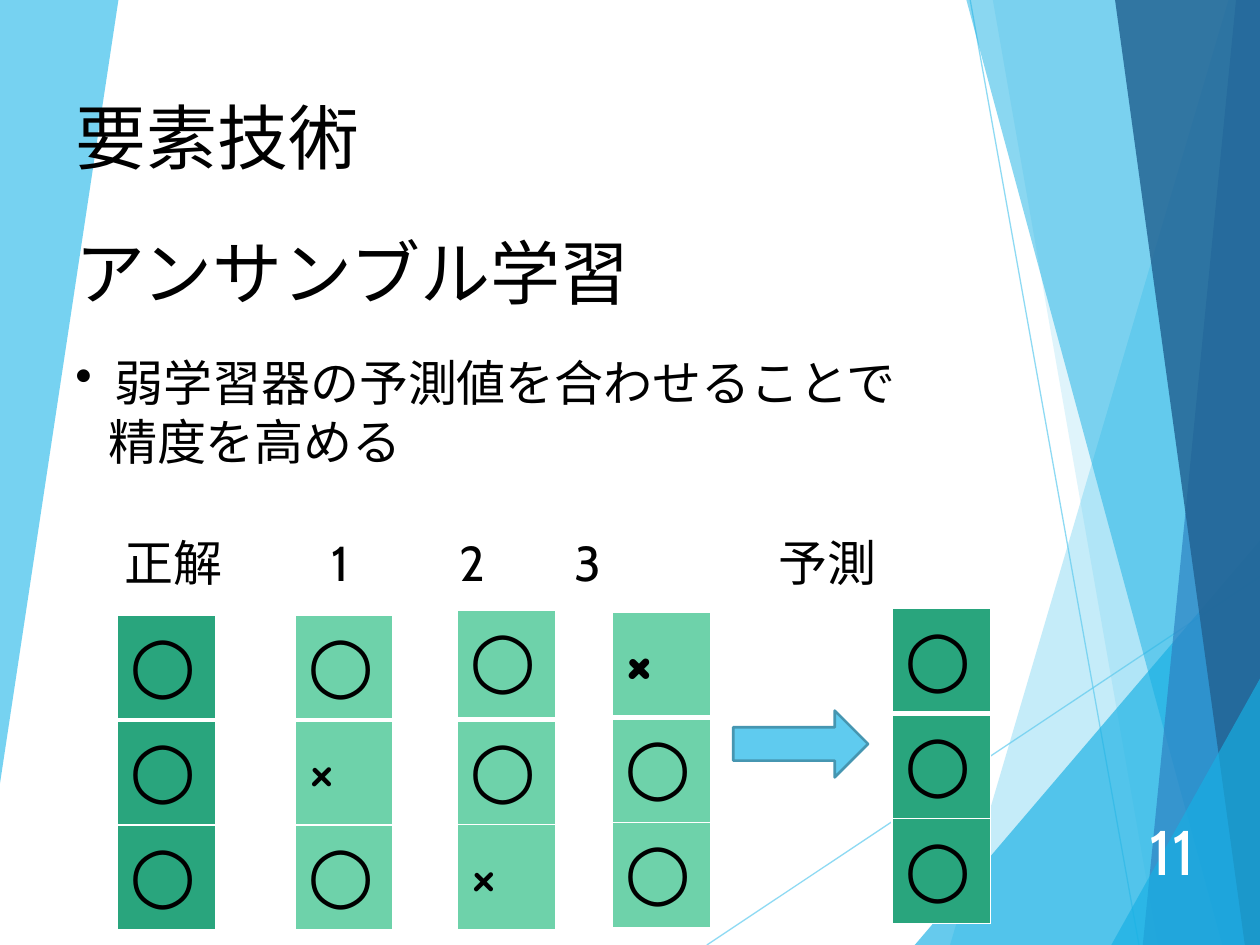
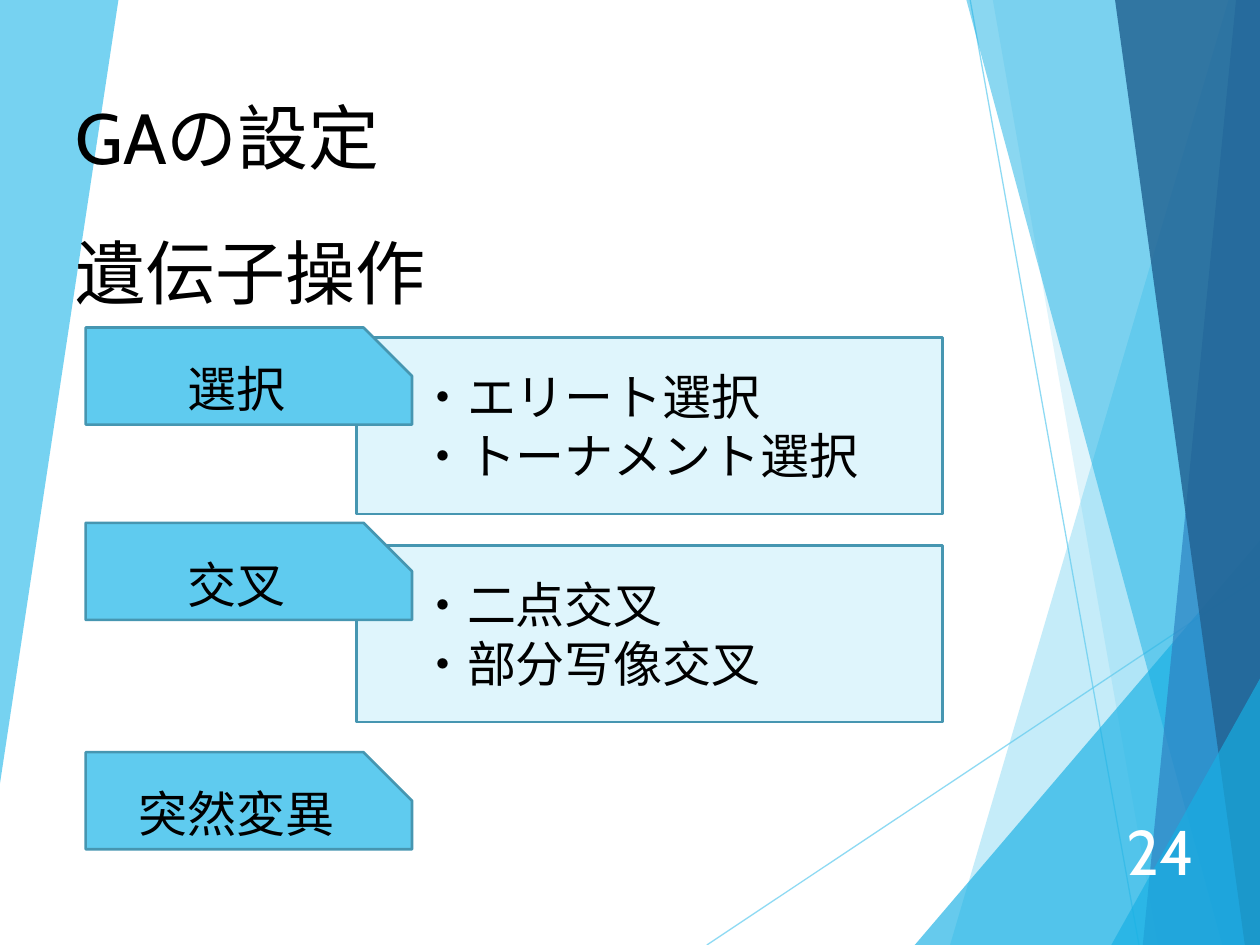
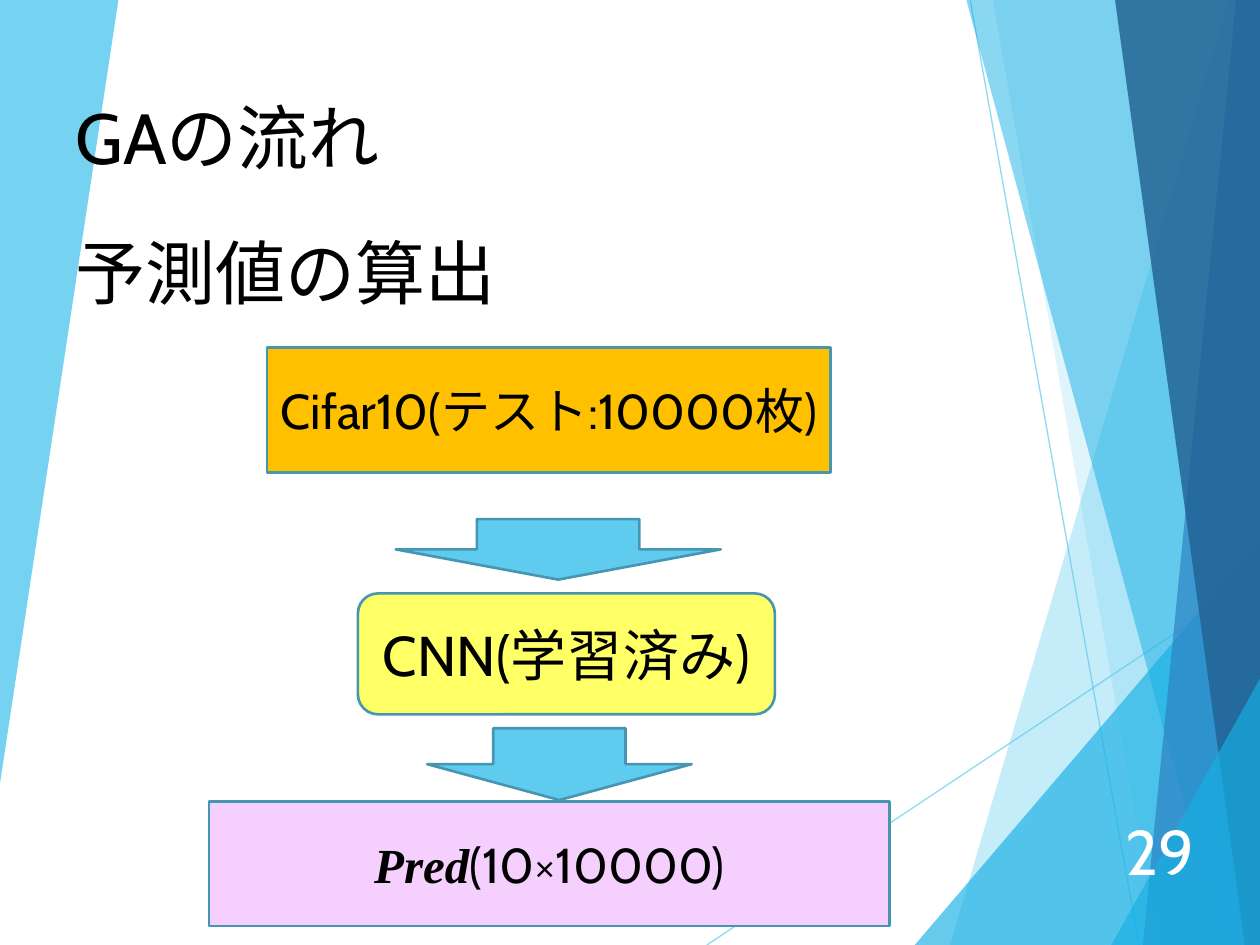
"""Build three slides on ensemble learning and genetic algorithm settings."""

from dataclasses import dataclass
from typing import Optional

from lxml.etree import SubElement
from pptx import Presentation
from pptx.dml.color import RGBColor
from pptx.enum.shapes import MSO_CONNECTOR, MSO_SHAPE
from pptx.enum.text import MSO_ANCHOR, PP_ALIGN
from pptx.oxml.ns import qn
from pptx.util import Inches, Pt

COLORS = {
    "black": "000000",
    "white": "FFFFFF",
    "sky": "5FCBEF",
    "cyan": "17B0E4",
    "blue": "2E83C3",
    "navy": "226292",
    "outline": "4696B1",
    "pale": "DFF5FC",
    "green": "29A57D",
    "mint": "6ED2AA",
    "orange": "FFC000",
    "yellow": "FFFF66",
    "pink": "F5CFFD",
}
FONT = "Cabin"
ROW_HEIGHT = 0.83
COLUMN_WIDTH = 0.78


@dataclass(frozen=True)
class Facet:
    points: tuple
    color: str
    opacity: int


@dataclass(frozen=True)
class TextStyle:
    size: float = 28
    font: str = FONT
    color: str = "black"
    bold: bool = False
    italic: bool = False


@dataclass(frozen=True)
class Box:
    kind: MSO_SHAPE
    left: float
    top: float
    width: float
    height: float
    fill: str = "sky"
    lines: tuple = ()
    style: TextStyle = TextStyle()
    align: PP_ALIGN = PP_ALIGN.CENTER
    indent: float = 0
    adjustment: Optional[float] = None


@dataclass(frozen=True)
class MarkColumn:
    left: float
    top: float
    marks: str
    fill: str
    first_height: float = ROW_HEIGHT


RAYS = (((5.61, 7.5), (10.01, 4.57)), ((7.7, 0), (9.04, 7.5)))
FACETS = (
    Facet(((9.75, 0), (7.54, 7.5), (10.02, 7.5), (10.01, 0)), "sky", 36),
    Facet(((7.88, 0), (9.19, 7.5), (10.01, 7.5), (10.01, 0)), "sky", 20),
    Facet(((7.26, 7.5), (10, 4.29), (10.01, 7.5)), "cyan", 66),
    Facet(((7.67, 0), (9.7, 7.5), (10.01, 7.5), (10.01, 0)), "cyan", 50),
    Facet(((9.81, 0), (9.07, 7.5), (10.01, 7.5), (10, 0)), "blue", 70),
    Facet(((8.85, 0), (9.88, 7.5), (10.02, 7.5), (10, 0)), "navy", 82),
    Facet(((8.82, 7.5), (10.02, 5.35), (10.02, 7.5)), "cyan", 66),
    Facet(((0, 0), (0.94, 0), (0, 6.22)), "sky", 85),
)
MARK_COLUMNS = (
    MarkColumn(2.34, 4.88, "○×○", "mint"),
    MarkColumn(3.63, 4.84, "○○×", "mint", 0.87),
    MarkColumn(7.08, 4.83, "○○○", "green"),
    MarkColumn(4.86, 4.86, "×○○", "mint"),
    MarkColumn(0.93, 4.88, "○○○", "green"),
)
OPERATIONS = (
    Box(MSO_SHAPE.RECTANGLE, 2.83, 4.33, 4.65, 1.4, "pale",
        ("・二点交叉", "・部分写像交叉"), TextStyle(font="Calibri"), PP_ALIGN.LEFT, 0.39),
    Box(MSO_SHAPE.RECTANGLE, 2.83, 2.68, 4.65, 1.4, "pale",
        ("・エリート選択", "・トーナメント選択"), TextStyle(font="Calibri"), PP_ALIGN.LEFT, 0.39),
)
OPERATION_TABS = ((2.6, "選択"), (4.15, "交叉"), (5.97, "突然変異"))
FLOW = (
    Box(MSO_SHAPE.RECTANGLE, 2.12, 2.76, 4.47, 0.99, "orange", ("Cifar10(テスト:10000枚)",)),
    Box(MSO_SHAPE.ROUNDED_RECTANGLE, 2.84, 4.71, 3.31, 0.96, "yellow",
        ("CNN(学習済み)",), TextStyle(32)),
    Box(MSO_SHAPE.DOWN_ARROW, 3.39, 5.78, 2.1, 0.57),
    Box(MSO_SHAPE.DOWN_ARROW, 3.14, 4.12, 2.58, 0.48),
)
PREDICTION = Box(MSO_SHAPE.RECTANGLE, 1.66, 6.36, 5.4, 0.99, "pink", ("Pred",),
                 TextStyle(font="Times New Roman", bold=True, italic=True))


def rgb(name: str) -> RGBColor:
    return RGBColor.from_string(COLORS[name])


def set_opacity(shape, percent: int) -> None:
    for color in list(shape.element.spPr.iter(qn("a:srgbClr"))):
        SubElement(color, qn("a:alpha"), val=str(percent * 1000))


def format_run(run, style: TextStyle) -> None:
    run.font.name = style.font
    run.font.size = Pt(style.size)
    run.font.color.rgb = rgb(style.color)
    run.font.bold = style.bold
    run.font.italic = style.italic


def write_lines(text_frame, lines: tuple, style: TextStyle,
                align: PP_ALIGN = PP_ALIGN.LEFT) -> None:
    text_frame.text = "\n".join(lines)
    for paragraph in text_frame.paragraphs:
        paragraph.alignment = align
        for run in paragraph.runs:
            format_run(run, style)


def add_text(slide, left: float, top: float, width: float, height: float,
             lines: tuple, style: TextStyle, align: PP_ALIGN = PP_ALIGN.LEFT):
    shape = slide.shapes.add_textbox(Inches(left), Inches(top), Inches(width), Inches(height))
    shape.text_frame.word_wrap = True
    write_lines(shape.text_frame, lines, style, align)
    return shape.text_frame


def set_indent(paragraph, margin: float, hanging: float = 0):
    properties = paragraph._p.get_or_add_pPr()
    properties.set("marL", str(Inches(margin)))
    properties.set("indent", str(Inches(-hanging)))
    return properties


def add_box(slide, box: Box):
    shape = slide.shapes.add_shape(box.kind, Inches(box.left), Inches(box.top),
                                   Inches(box.width), Inches(box.height))
    shape.shadow.inherit = False
    shape.fill.solid()
    shape.fill.fore_color.rgb = rgb(box.fill)
    shape.line.color.rgb = rgb("outline")
    shape.line.width = Pt(1.5)
    if box.adjustment is not None:
        shape.adjustments[0] = box.adjustment
    if box.lines:
        write_lines(shape.text_frame, box.lines, box.style, box.align)
    if box.indent:
        for paragraph in shape.text_frame.paragraphs:
            set_indent(paragraph, box.indent)
    return shape


def add_ray(slide, start: tuple, end: tuple):
    ends = [Inches(value) for value in (*start, *end)]
    connector = slide.shapes.add_connector(MSO_CONNECTOR.STRAIGHT, *ends)
    connector.line.color.rgb = rgb("sky")
    connector.line.width = Pt(0.75)
    SubElement(connector.element.spPr, qn("a:effectLst"))
    set_opacity(connector, 70)
    return connector


def add_facet(slide, facet: Facet):
    corners = [(Inches(x), Inches(y)) for x, y in facet.points]
    builder = slide.shapes.build_freeform(*corners[0])
    builder.add_line_segments(corners[1:], close=True)
    shape = builder.convert_to_shape()
    shape.shadow.inherit = False
    shape.fill.solid()
    shape.fill.fore_color.rgb = rgb(facet.color)
    shape.line.fill.background()
    set_opacity(shape, facet.opacity)
    return shape


def decorate_layout(layout, slide) -> None:
    for placeholder in list(layout.placeholders):
        layout.shapes.element.remove(placeholder.element)
    decorations = [add_ray(slide, start, end) for start, end in RAYS]
    decorations += [add_facet(slide, facet) for facet in FACETS]
    for shape in decorations:
        layout.shapes.element.append(shape.element)


def add_frame(slide, title: str, subtitle: str, number: int) -> None:
    number_frame = add_text(slide, 8.74, 6.48, 0.84, 0.53, (str(number),),
                            TextStyle(36, color="white"), PP_ALIGN.RIGHT)
    number_frame.vertical_anchor = MSO_ANCHOR.MIDDLE
    add_text(slide, 0.5, 0.69, 3.81, 0.78, (title,), TextStyle(40.5))
    add_text(slide, 0.5, 1.77, 7.71, 0.77, (subtitle,), TextStyle(40))


def set_border(cell, side: str, points: float) -> None:
    line = SubElement(cell._tc.get_or_add_tcPr(), qn(f"a:ln{side}"), w=str(Pt(points)))
    fill = SubElement(line, qn("a:solidFill"))
    SubElement(fill, qn("a:srgbClr"), val=COLORS["white"])


def add_mark_column(slide, column: MarkColumn) -> None:
    heights = (column.first_height, ROW_HEIGHT, ROW_HEIGHT)
    frame = slide.shapes.add_table(len(heights), 1, Inches(column.left), Inches(column.top),
                                   Inches(COLUMN_WIDTH), Inches(sum(heights)))
    table = frame.table
    table.first_row = table.horz_banding = False
    for index, (mark, height) in enumerate(zip(column.marks, heights)):
        table.rows[index].height = Inches(height)
        cell = table.cell(index, 0)
        write_lines(cell.text_frame, (mark,),
                    TextStyle(44, "Comic Neue", bold=index == 0))
        for side in "LRTB":
            set_border(cell, side, 3 if (index, side) in ((0, "B"), (1, "T")) else 1)
        cell.fill.solid()
        cell.fill.fore_color.rgb = rgb(column.fill)


def build_ensemble(slide) -> None:
    body = add_text(slide, 0.5, 2.75, 8.89, 1.51,
                    ("弱学習器の予測値を合わせることで", "精度を高める"), TextStyle())
    bulleted, continued = body.paragraphs
    SubElement(set_indent(bulleted, 0.31, 0.31), qn("a:buChar"), char="•")
    set_indent(continued, 0.26)
    for column in MARK_COLUMNS:
        add_mark_column(slide, column)
    headings = add_text(slide, 0.89, 4.18, 7.18, 0.57, ("正解\t1\t2\t3\t予測",), TextStyle())
    tabs = SubElement(headings.paragraphs[0]._p.get_or_add_pPr(), qn("a:tabLst"))
    for position in (1.64, 2.66, 3.57, 5.19):
        SubElement(tabs, qn("a:tab"), pos=str(Inches(position)), algn="l")
    add_box(slide, Box(MSO_SHAPE.RIGHT_ARROW, 5.82, 5.64, 1.07, 0.53))


def build_operations(slide) -> None:
    for box in OPERATIONS:
        add_box(slide, box)
    for top, label in OPERATION_TABS:
        add_box(slide, Box(MSO_SHAPE.SNIP_1_RECTANGLE, 0.68, top, 2.59, 0.77,
                           lines=(label,), adjustment=0.5))


def build_flow(slide) -> None:
    for box in FLOW:
        add_box(slide, box)
    prediction = add_box(slide, PREDICTION)
    size_run = prediction.text_frame.paragraphs[0].add_run()
    size_run.text = "(10×10000)"
    format_run(size_run, TextStyle())


def main() -> None:
    presentation = Presentation()
    presentation.slide_width = Inches(10)
    presentation.slide_height = Inches(7.5)
    layout = presentation.slide_layouts[6]
    pages = (
        ("要素技術", "アンサンブル学習", 11, build_ensemble),
        ("GAの設定", "遺伝子操作", 24, build_operations),
        ("GAの流れ", "予測値の算出", 29, build_flow),
    )
    for index, (title, subtitle, number, build) in enumerate(pages):
        slide = presentation.slides.add_slide(layout)
        if index == 0:
            decorate_layout(layout, slide)
            for placeholder in list(slide.placeholders):
                slide.shapes.element.remove(placeholder.element)
        add_frame(slide, title, subtitle, number)
        build(slide)
    presentation.save("out.pptx")


if __name__ == "__main__":
    main()
